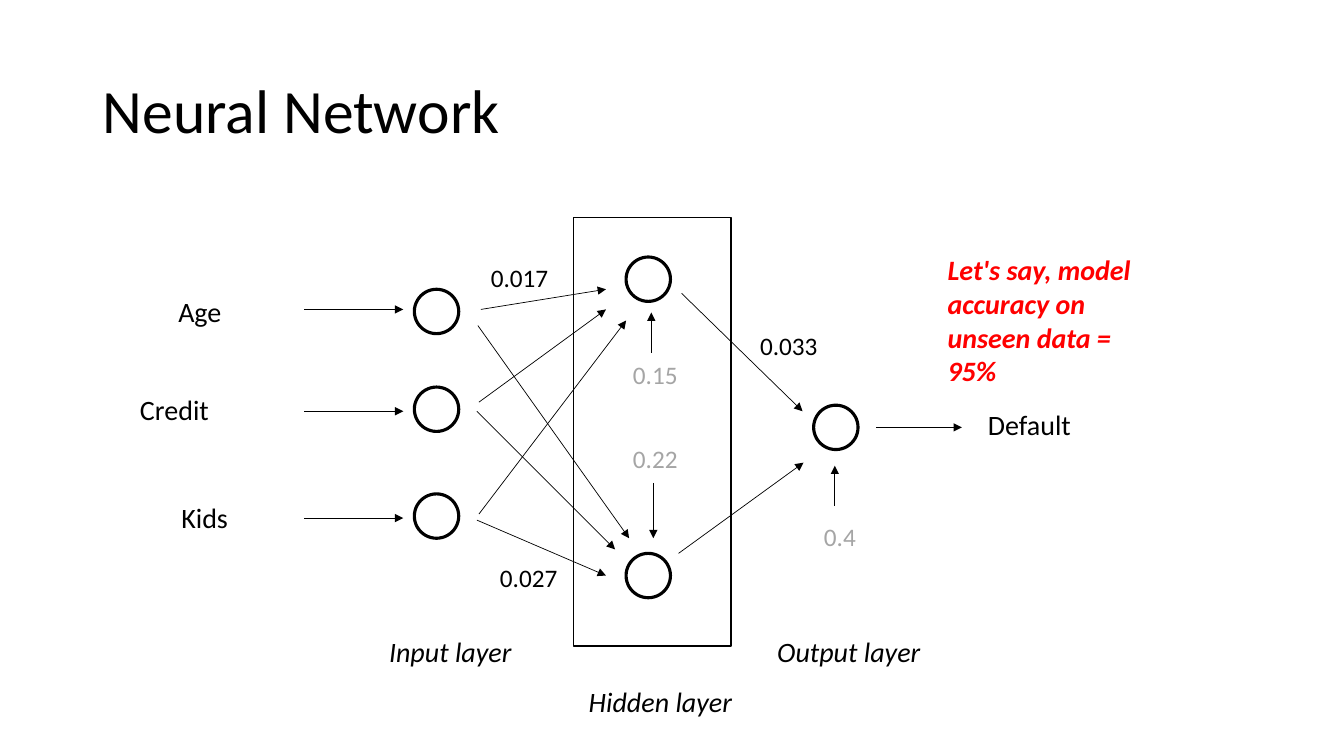
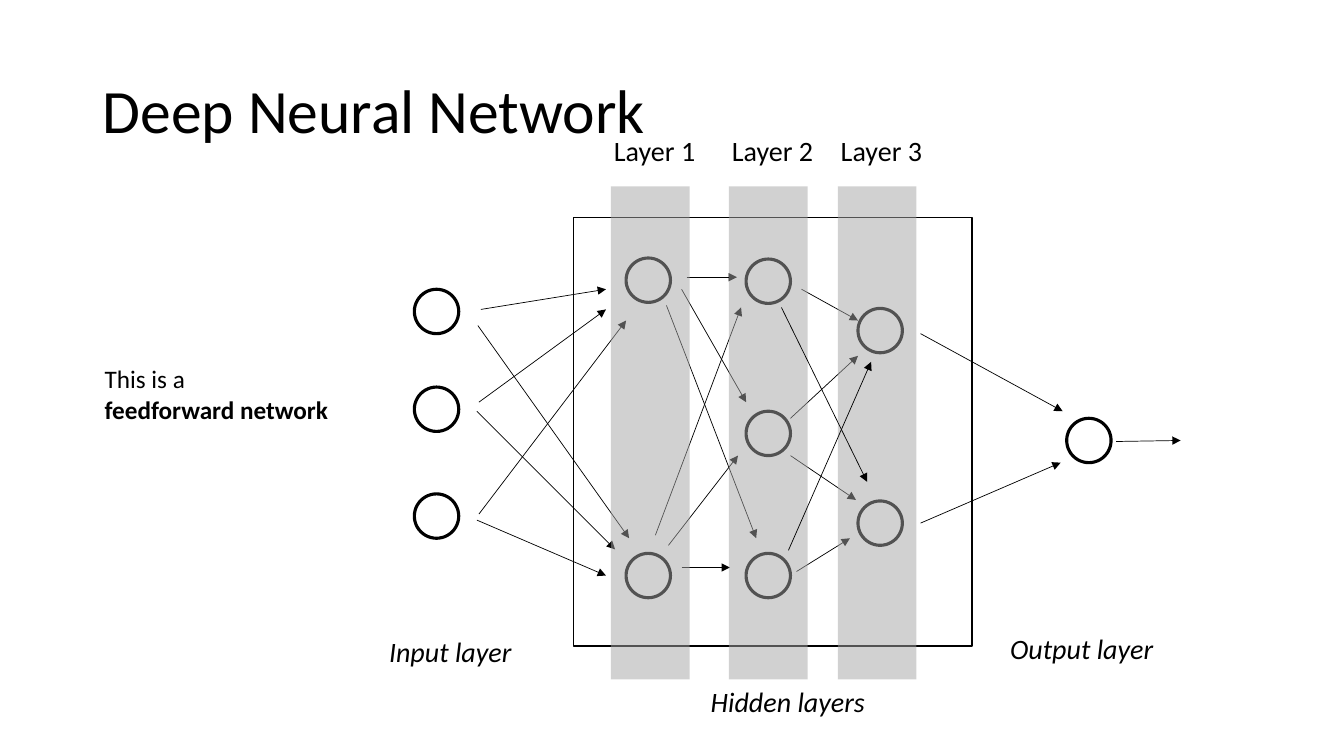
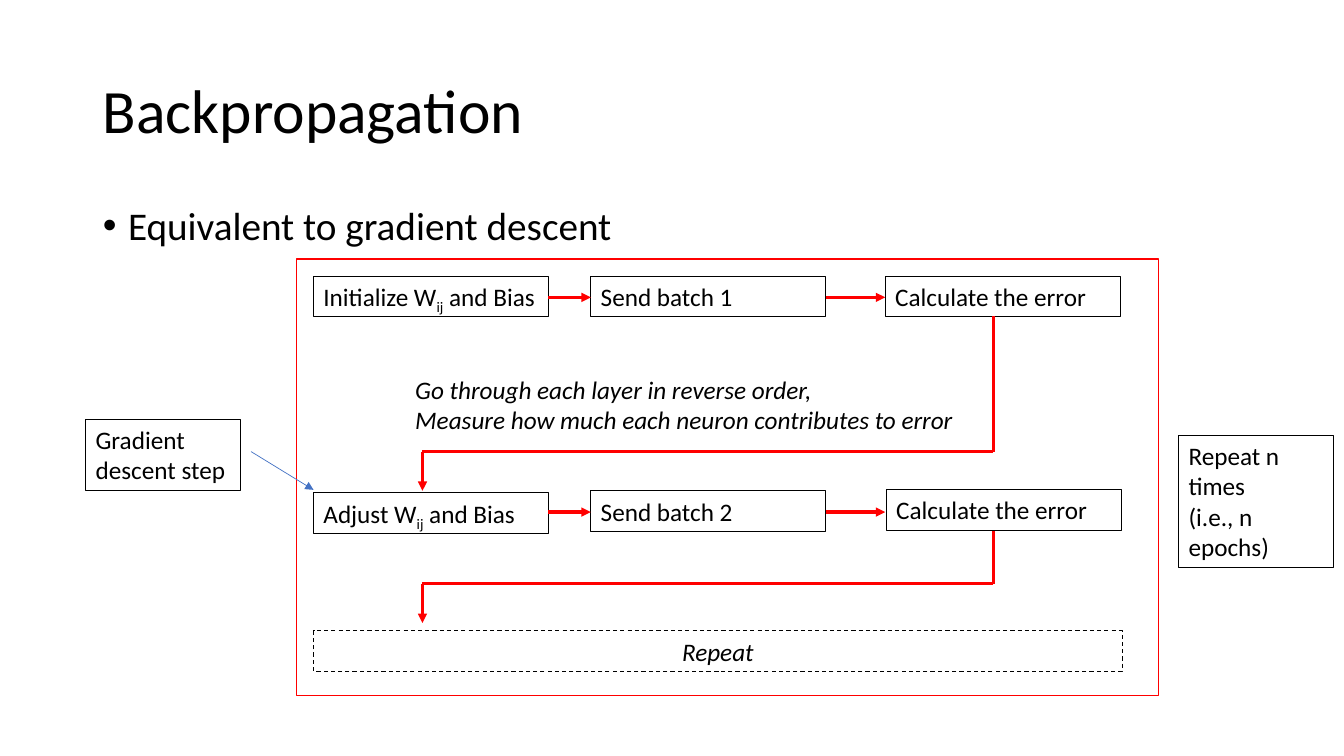
import lxml.etree
import pptx
import pptx.dml.color
import pptx.enum.dml
import pptx.enum.shapes
import pptx.enum.text
import pptx.oxml.ns
import pptx.util

BLACK = pptx.dml.color.RGBColor(0, 0, 0)
WHITE = pptx.dml.color.RGBColor(0xFF, 0xFF, 0xFF)
RED = pptx.dml.color.RGBColor(0xFF, 0, 0)
GRAY = pptx.dml.color.RGBColor(0xA5, 0xA5, 0xA5)
BLUE = pptx.dml.color.RGBColor(0x44, 0x72, 0xC4)

FONT = "Calibri"
COLUMNS, ROWS = 13.33, 7.5
CELL = pptx.util.Inches(1)
NEURON = 0.44
TITLE_AREA = (0.92, 0.4, 11.5, 1.45)
BODY_AREA = (0.92, 2, 11.5, 4.76)
TITLE_ONLY, TITLE_AND_BODY = 5, 1
SHAPES = pptx.enum.shapes.MSO_SHAPE
AUTO_SIZE = pptx.enum.text.MSO_AUTO_SIZE
ALIGN = pptx.enum.text.PP_ALIGN
ANCHOR = pptx.enum.text.MSO_ANCHOR

INPUT_NEURONS = [(4.11, 2.87), (4.11, 3.84), (4.11, 4.9)]
INPUT_ARROWS = [
    (4.77, 3.07, 6.01, 2.87), (4.75, 3.99, 6.01, 3.07), (4.75, 5.1, 6.21, 3.18),
    (4.74, 3.23, 6.24, 5.34), (4.73, 4.08, 6.1, 5.45), (4.73, 5.16, 6.01, 5.71),
]


def grid(*cells):
    return [round(cell * CELL) for cell in cells]


def add_child(parent, tag, **attributes):
    child = lxml.etree.SubElement(parent, pptx.oxml.ns.qn(tag))
    for key, value in attributes.items():
        child.set(key, value)
    return child


def add_run(paragraph, words, size, color=BLACK, bold=False, italic=False, subscript=False):
    run = paragraph.add_run()
    run.text = words
    font = run.font
    font.name, font.size, font.color.rgb = FONT, pptx.util.Pt(size), color
    font.bold, font.italic = bold, italic
    if subscript:
        run._r.get_or_add_rPr().set("baseline", "-25000")


def fill_placeholder(placeholder, area, words, size, anchor):
    placeholder.left, placeholder.top, placeholder.width, placeholder.height = grid(*area)
    frame = placeholder.text_frame
    frame.auto_size, frame.vertical_anchor = AUTO_SIZE.NONE, anchor
    paragraph = frame.paragraphs[0]
    paragraph.alignment, paragraph.line_spacing = ALIGN.LEFT, 0.9
    add_run(paragraph, words, size)
    return paragraph


def add_titled_slide(deck, title, layout=TITLE_ONLY):
    slide = deck.slides.add_slide(deck.slide_layouts[layout])
    fill_placeholder(slide.shapes.title, TITLE_AREA, title, 44, ANCHOR.MIDDLE)
    return slide


def add_text(shapes, area, *lines, size=20, align=ALIGN.LEFT, wrap=True, **style):
    box = shapes.add_textbox(*grid(*area))
    frame = box.text_frame
    frame.word_wrap, frame.auto_size = wrap, AUTO_SIZE.SHAPE_TO_FIT_TEXT
    for index, line in enumerate(lines):
        paragraph = frame.add_paragraph() if index else frame.paragraphs[0]
        paragraph.alignment = align
        add_run(paragraph, line, size, **style)
    return box


def add_step(shapes, area, *lines, **style):
    step = add_text(shapes, area, *lines, size=18, **style)
    step.line.color.rgb, step.line.width = BLACK, pptx.util.Pt(0.75)
    return step


def add_weight_step(shapes, area, verb):
    paragraph = add_step(shapes, area, verb + " W").text_frame.paragraphs[0]
    add_run(paragraph, "ij", 18, subscript=True)
    add_run(paragraph, " and Bias", 18)


def add_outline(shapes, kind, area, color, width):
    outline = shapes.add_shape(kind, *grid(*area))
    outline.shadow.inherit = False
    outline.fill.background()
    outline.line.color.rgb, outline.line.width = color, pptx.util.Pt(width)
    return outline


def add_neurons(shapes, corners):
    for left, top in corners:
        neuron = add_outline(shapes, SHAPES.OVAL, (left, top, NEURON, NEURON), BLACK, 2.25)
        neuron.fill.solid()
        neuron.fill.fore_color.rgb = WHITE


def add_band(shapes, area):
    band = shapes.add_shape(SHAPES.RECTANGLE, *grid(*area))
    band.shadow.inherit = False
    band.line.fill.background()
    band.fill.solid()
    band.fill.fore_color.rgb = GRAY
    tint = band._element.spPr.find(".//" + pptx.oxml.ns.qn("a:srgbClr"))
    add_child(tint, "a:alpha", val="50000")


def add_line(shapes, ends, color=BLACK, width=0.5, arrow=True):
    line = shapes.add_connector(pptx.enum.shapes.MSO_CONNECTOR.STRAIGHT, *grid(*ends))
    line.line.color.rgb, line.line.width = color, pptx.util.Pt(width)
    properties = line._element.spPr
    if arrow:
        add_child(properties.find(pptx.oxml.ns.qn("a:ln")), "a:tailEnd", type="triangle")
    add_child(properties, "a:effectLst")


def add_arrows(shapes, arrows):
    for ends in arrows:
        add_line(shapes, ends)


def add_route(shapes, *points):
    legs = list(zip(points, points[1:]))
    for leg in legs:
        add_line(shapes, leg[0] + leg[1], RED, 2.25, arrow=leg is legs[-1])


def build_network(deck):
    shapes = add_titled_slide(deck, "Neural Network ").shapes
    add_neurons(shapes, INPUT_NEURONS + [(6.21, 2.55), (6.21, 5.49), (8.07, 4.02)])
    add_outline(shapes, SHAPES.RECTANGLE, (5.69, 2.16, 1.56, 4.25), BLACK, 1)
    for feature, left, top in [("Age", 1.67, 2.87), ("Credit", 1.29, 3.84), ("Kids", 1.7, 4.92)]:
        add_text(shapes, (left, top, 1.73, 0.44), feature)
    add_arrows(shapes, [(3.02, row, 4, row) for row in (3.07, 4.08, 5.14)])
    add_arrows(shapes, INPUT_ARROWS)
    add_arrows(shapes, [
        (6.76, 2.91, 7.96, 4.08), (6.73, 5.49, 7.97, 4.59), (8.69, 4.24, 9.54, 4.24),
    ])
    add_text(shapes, (9.7, 3.99, 1.82, 0.44), "Default")
    for layer, left, top in [
        ("Input layer", 3.76, 6.25), ("Hidden layer", 5.74, 6.74), ("Output layer", 7.61, 6.25),
    ]:
        add_text(shapes, (left, top, 1.71, 0.44), layer, italic=True)
    for weight, left, top in [("0.017", 4.77, 2.55), ("0.033", 7.44, 3.23), ("0.027", 4.86, 5.53)]:
        add_text(shapes, (left, top, 0.83, 0.4), weight, size=18)
    add_text(shapes, (9.3, 2.46, 2.36, 1.11), "Let's say, model accuracy on unseen data = 95%",
             color=RED, bold=True, italic=True)
    for bias, left, top in [("0.15", 6.05, 3.52), ("0.22", 6.05, 4.35), ("0.4", 7.88, 5.12)]:
        add_text(shapes, (left, top, 0.9, 0.4), bias, size=18, align=ALIGN.CENTER, color=GRAY)
    add_arrows(shapes, [
        (6.46, 3.5, 6.46, 3.1), (6.48, 4.79, 6.48, 5.34), (8.28, 5.02, 8.28, 4.62),
    ])


def build_deep_network(deck):
    slide = add_titled_slide(deck, "Deep Neural Network ")
    shapes = slide.shapes.add_group_shape().shapes
    add_neurons(shapes, INPUT_NEURONS + [(6.21, 2.56), (6.21, 5.49), (10.58, 4.15)])
    add_outline(shapes, SHAPES.RECTANGLE, (5.69, 2.16, 3.95, 4.25), BLACK, 1)
    add_arrows(shapes, INPUT_ARROWS)
    add_arrows(shapes, [(9.13, 3.31, 10.54, 4.08), (9.13, 5.19, 10.52, 4.59)])
    for layer, left, top in [
        ("Input layer", 3.76, 6.25), ("Hidden layers", 6.95, 6.74), ("Output layer", 9.92, 6.22),
    ]:
        add_text(shapes, (left, top, 1.78, 0.44), layer, italic=True)
    add_neurons(shapes, [(7.4, 2.57), (7.4, 4.08), (7.4, 5.49), (8.51, 3.06), (8.51, 4.97)])
    add_arrows(shapes, [
        (6.81, 2.75, 7.31, 2.75), (6.76, 2.87, 7.4, 3.99), (6.61, 3.03, 7.5, 5.34),
        (6.5, 5.31, 7.35, 3.05), (6.63, 5.41, 7.32, 4.52), (6.76, 5.63, 7.24, 5.63),
        (7.95, 2.87, 8.51, 3.18), (7.84, 4.15, 8.51, 3.53), (7.84, 4.52, 8.49, 4.96),
        (7.9, 5.67, 8.43, 5.34),
    ])
    for number, left in enumerate((6.06, 7.23, 8.31), start=1):
        add_band(shapes, (left, 1.85, 0.78, 4.89))
        add_text(shapes, (left - 0.07, 1.28, 1.15, 0.44), f"Layer {number}")
    add_arrows(shapes, [
        (7.82, 5.46, 8.64, 3.59), (7.75, 3.05, 8.6, 4.78), (11.07, 4.38, 11.71, 4.37),
    ])
    note = add_text(slide.shapes, (0.94, 3.56, 2.43, 0.71), "This is a ", size=18, wrap=False)
    add_run(note.text_frame.add_paragraph(), "feedforward network", 18, bold=True)


def build_backpropagation(deck):
    slide = add_titled_slide(deck, "Backpropagation", TITLE_AND_BODY)
    shapes = slide.shapes
    point = fill_placeholder(slide.placeholders[1], BODY_AREA,
                             "Equivalent to gradient descent", 28, ANCHOR.TOP)
    point.space_before = pptx.util.Pt(10)
    indent = pptx.util.Inches(0.25)
    layout = point._p.get_or_add_pPr()
    layout.set("marL", str(indent))
    layout.set("indent", str(-indent))

    for verb, top in [("Initialize", 2.74), ("Adjust", 4.89)]:
        add_weight_step(shapes, (3.11, top, 2.33, 0.4), verb)
    for step, left, top in [
        ("Send batch 1", 5.86, 2.74), ("Calculate the error", 8.78, 2.74),
        ("Send batch 2", 5.86, 4.87), ("Calculate the error", 8.79, 4.86),
    ]:
        add_step(shapes, (left, top, 2.33, 0.4), step)
    for row in (2.95, 5.08):
        add_route(shapes, (5.44, row), (5.86, row))
        add_route(shapes, (8.19, row), (8.78, row))
    for start, turn, end in [(3.14, 4.48, 4.87), (5.27, 5.79, 6.18)]:
        add_route(shapes, (9.85, start), (9.85, turn), (4.19, turn), (4.19, end))
    add_outline(shapes, SHAPES.RECTANGLE, (2.94, 2.57, 8.55, 4.33), RED, 1)
    add_text(shapes, (4.02, 3.66, 5.67, 0.71), "Go through each layer in reverse order,",
             "Measure how much each neuron contributes to error", size=18, italic=True)
    add_step(shapes, (0.85, 4.16, 1.54, 0.71), "Gradient descent step")
    add_line(shapes, (2.49, 4.48, 3.11, 4.86), BLUE)
    repeat = add_step(shapes, (3.11, 6.26, 8.02, 0.4), "Repeat", align=ALIGN.CENTER, italic=True)
    repeat.line.dash_style = pptx.enum.dml.MSO_LINE.DASH
    epochs = add_step(shapes, (11.69, 4.32, 1.54, 1.31), "Repeat n times ")
    wording = epochs.text_frame.paragraphs[0]
    wording.add_line_break()
    add_run(wording, "(i.e., n epochs)", 18)


def main():
    deck = pptx.Presentation()
    deck.slide_width, deck.slide_height = grid(COLUMNS, ROWS)
    build_network(deck)
    build_deep_network(deck)
    build_backpropagation(deck)
    deck.save("out.pptx")


main()
